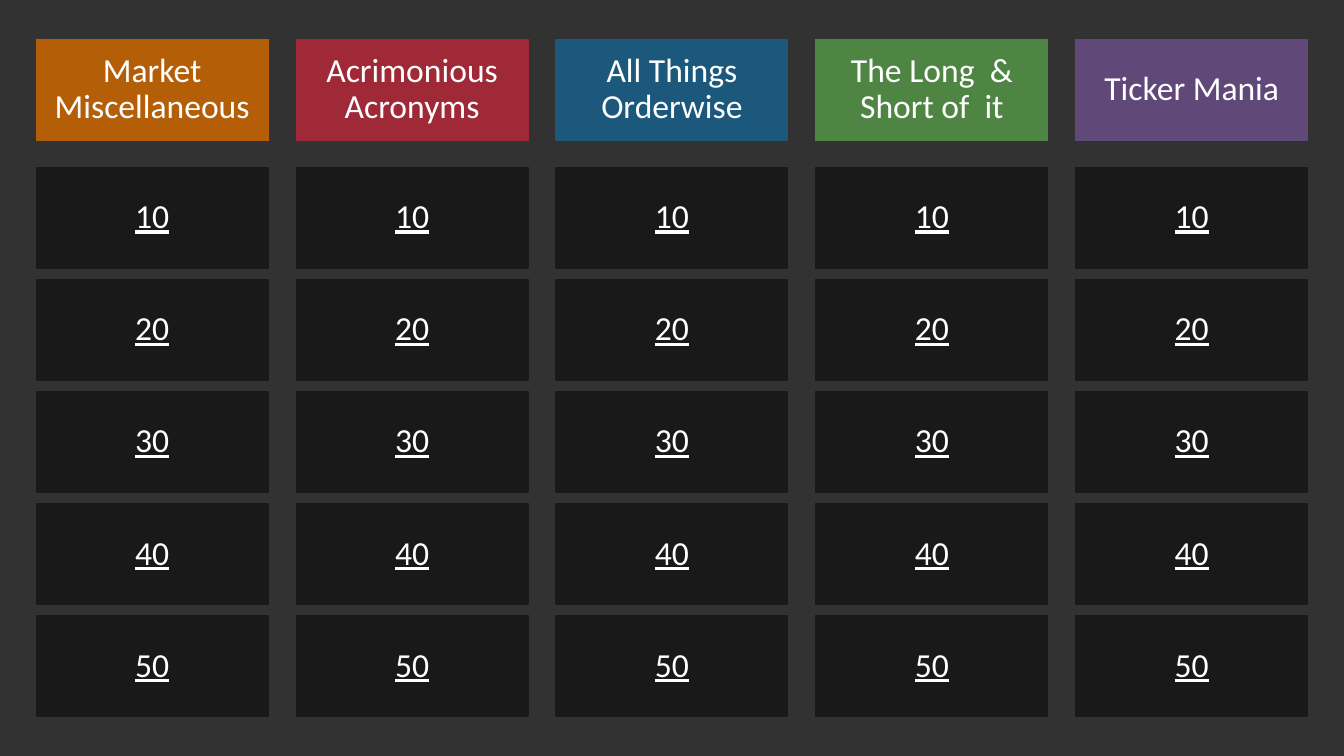
from dataclasses import dataclass

from pptx import Presentation
from pptx.dml.color import RGBColor
from pptx.enum.shapes import MSO_SHAPE
from pptx.enum.text import MSO_ANCHOR, PP_ALIGN
from pptx.slide import Slide
from pptx.util import Inches, Pt

BACKGROUND = RGBColor(0x32, 0x32, 0x32)
TILE = RGBColor(0x19, 0x19, 0x19)
WHITE = RGBColor(0xFF, 0xFF, 0xFF)
ORANGE = RGBColor(0xB4, 0x5F, 0x07)
RED = RGBColor(0x9F, 0x29, 0x36)
BLUE = RGBColor(0x1B, 0x58, 0x7C)
GREEN = RGBColor(0x4E, 0x85, 0x42)
PURPLE = RGBColor(0x60, 0x48, 0x78)

SLIDE_WIDTH, SLIDE_HEIGHT = Inches(13.33), Inches(7.5)
TILE_WIDTH, TILE_HEIGHT = Inches(2.3), Inches(1)
SIDE_MARGIN = Inches(0.36)
HEADER_TOP = Inches(0.39)
FIRST_ROW_TOP, LAST_ROW_TOP = Inches(1.66), Inches(6.11)


@dataclass(frozen=True)
class Category:
    """A column of the quiz board."""

    name: str
    color: RGBColor


CATEGORIES = (
    Category("Market Miscellaneous", ORANGE),
    Category("Acrimonious Acronyms", RED),
    Category("All Things Orderwise", BLUE),
    Category("The Long  & Short of  it", GREEN),
    Category("Ticker Mania", PURPLE),
)
POINTS = (10, 20, 30, 40, 50)


def spread(first: int, last: int, count: int) -> list[int]:
    """Return evenly spaced positions from first to last."""
    return [first + (last - first) * index // (count - 1) for index in range(count)]


def add_tile(page: Slide, left: int, top: int, text: str, color: RGBColor,
             underline: bool = False) -> None:
    """Draw one board tile with centred white text."""
    box = page.shapes.add_shape(MSO_SHAPE.RECTANGLE, left, top, TILE_WIDTH, TILE_HEIGHT)
    box.shadow.inherit = False
    box.fill.solid()
    box.fill.fore_color.rgb = color
    box.line.color.rgb = color
    box.line.width = Pt(0.75)
    frame = box.text_frame
    frame.word_wrap = True
    frame.vertical_anchor = MSO_ANCHOR.MIDDLE
    frame.text = text
    paragraph = frame.paragraphs[0]
    paragraph.alignment = PP_ALIGN.CENTER
    paragraph.line_spacing = 0.9
    font = paragraph.font
    font.name = "Calibri"
    font.size = Pt(24)
    font.color.rgb = WHITE
    font.underline = underline


def add_board(page: Slide) -> None:
    """Draw every category header with its point tiles below."""
    last_left = SLIDE_WIDTH - SIDE_MARGIN - TILE_WIDTH
    lefts = spread(SIDE_MARGIN, last_left, len(CATEGORIES))
    tops = spread(FIRST_ROW_TOP, LAST_ROW_TOP, len(POINTS))
    for category, left in zip(CATEGORIES, lefts):
        add_tile(page, left, HEADER_TOP, category.name, category.color)
        for points, top in zip(POINTS, tops):
            add_tile(page, left, top, str(points), TILE, underline=True)


def main() -> None:
    """Build the quiz board slide and save the deck."""
    deck = Presentation()
    deck.slide_width, deck.slide_height = SLIDE_WIDTH, SLIDE_HEIGHT
    page = deck.slides.add_slide(deck.slide_layouts.get_by_name("Blank"))
    page.background.fill.solid()
    page.background.fill.fore_color.rgb = BACKGROUND
    add_board(page)
    deck.save("out.pptx")


main()
